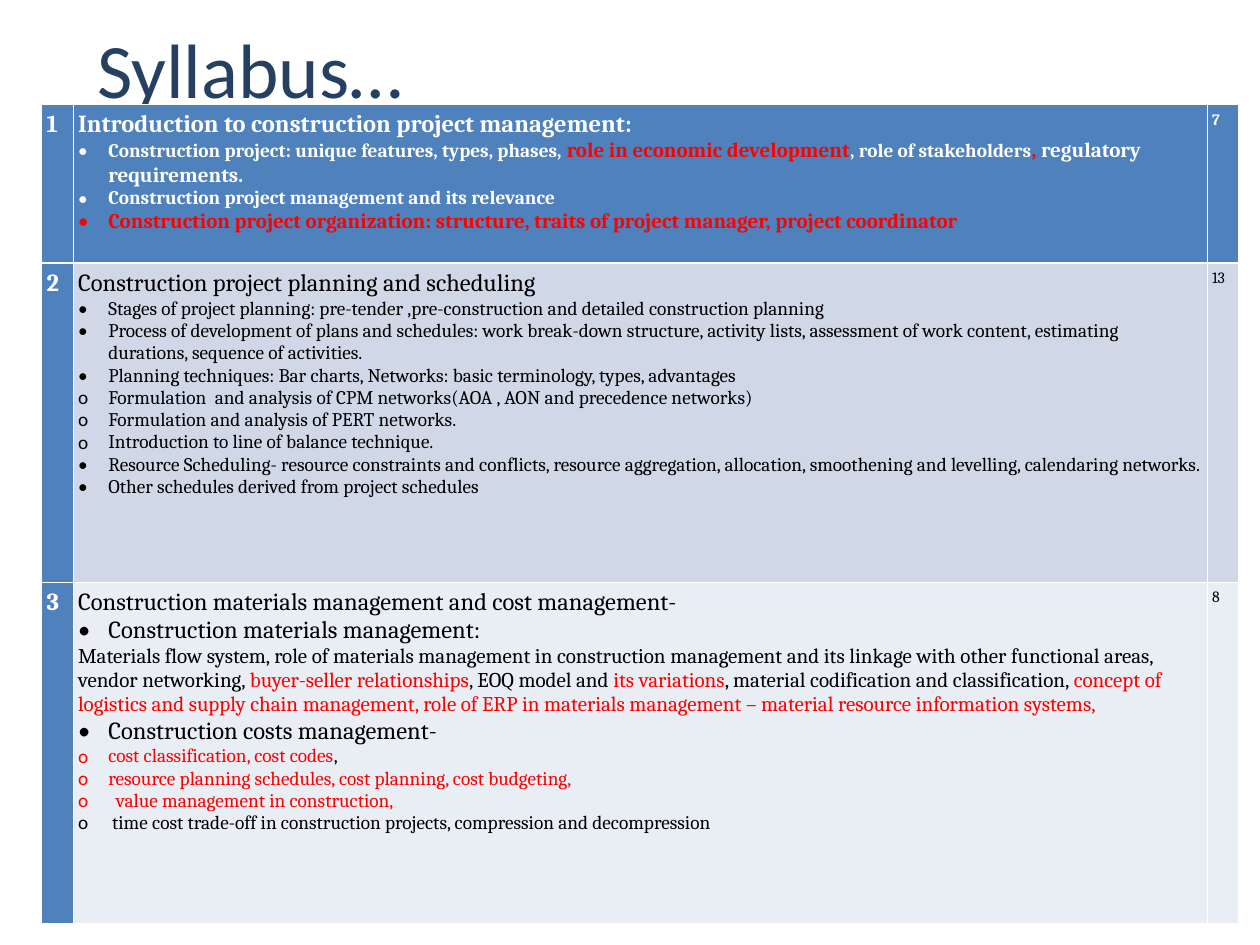
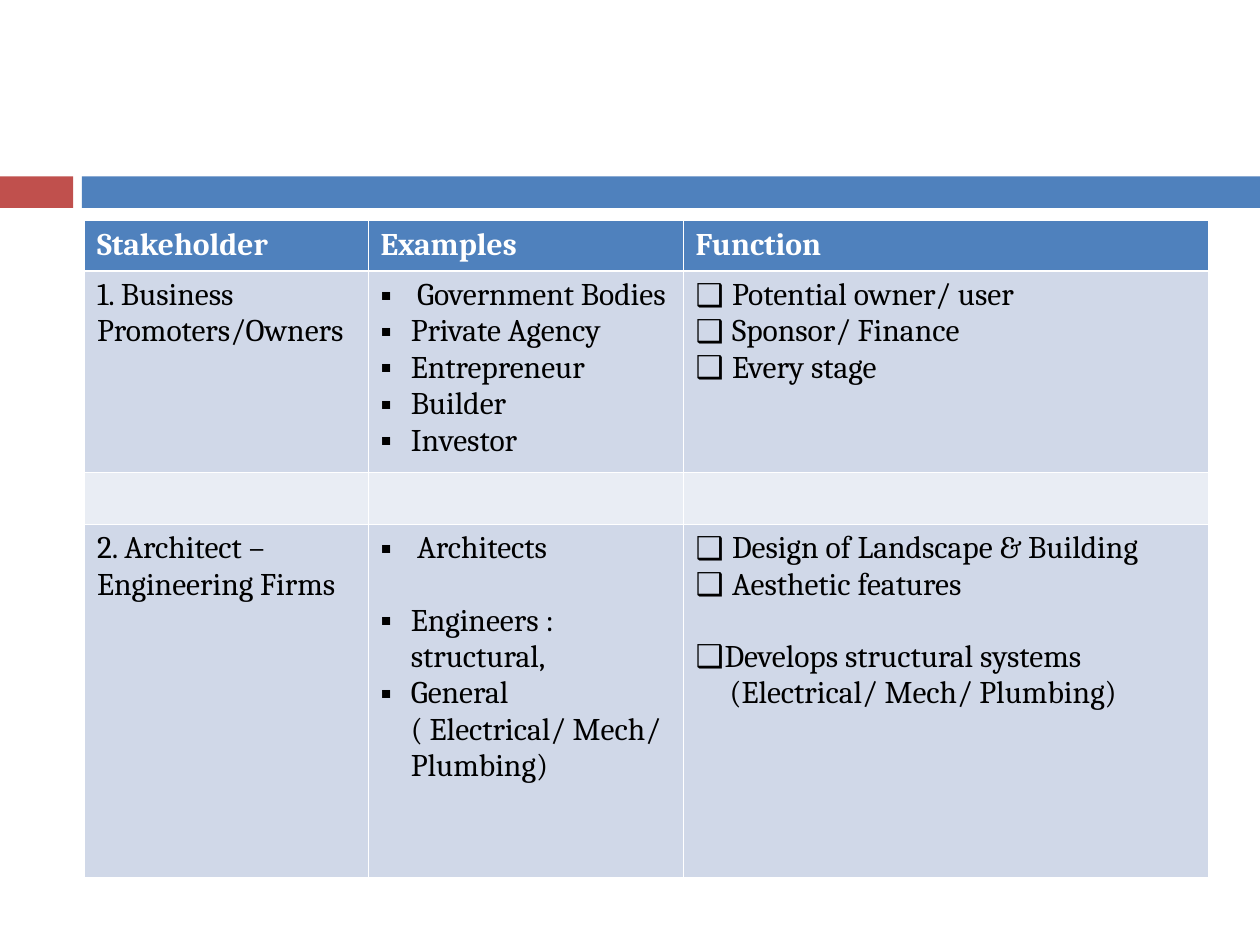
from lxml.etree import SubElement
from pptx import Presentation
from pptx.dml.color import RGBColor
from pptx.enum.shapes import MSO_SHAPE
from pptx.enum.text import MSO_ANCHOR, MSO_AUTO_SIZE, PP_ALIGN
from pptx.oxml.ns import qn
from pptx.util import Inches, Pt

HUES = {"white": "FFFFFF", "ink": "000000", "red": "FF0000", "navy": "254061",
        "blue": "4F81BD", "brick": "C0504D", "band": "D0D8E8", "pale": "E9EDF4"}

DOT = {"mark": "•", "dent": 0.24, "size": 11}
RING = {**DOT, "mark": "o"}
BLOCK = {"mark": "▪", "dent": 0.24}
BOX = {"mark": "❑", "dent": 0.29}
RED = {"hue": "red"}

UNITS = [
    ("1", [
        ("Introduction to construction project management:", {}),
        ([("Construction project: unique features, types, phases, ", {}),
          ("role in economic development", {"size": 12, **RED}),
          (", role of stakeholders", {}),
          (", ", {"size": 12, **RED}),
          ("regulatory requirements.", {"size": 12})], DOT),
        ("Construction project management and its relevance", DOT),
        ("Construction project organization: structure, traits of project manager, "
         "project coordinator", {**DOT, **RED, "size": 12}),
    ], "7"),
    ("2", [
        ("Construction project planning and scheduling", {}),
        ("Stages of project planning: pre-tender ,pre-construction and detailed "
         "construction planning", DOT),
        ("Process of development of plans and schedules: work break-down structure, "
         "activity lists, assessment of work content, estimating durations, "
         "sequence of activities.", DOT),
        ("Planning techniques: Bar charts, Networks: basic terminology, types, "
         "advantages", DOT),
        ("Formulation  and analysis of CPM networks(AOA , AON and precedence "
         "networks)", RING),
        ("Formulation and analysis of PERT networks.", RING),
        ("Introduction to line of balance technique.", RING),
        ("Resource Scheduling- resource constraints and conflicts, resource "
         "aggregation, allocation, smoothening and levelling, calendaring networks.", DOT),
        ("Other schedules derived from project schedules", DOT),
    ], "13"),
    ("3", [
        ("Construction materials management and cost management-", {}),
        ("Construction materials management:", {**DOT, "size": 14}),
        ([("Materials flow system, role of materials management in construction "
           "management and its linkage with other functional areas, vendor "
           "networking, ", {}),
          ("buyer-seller relationships", RED),
          (", EOQ model and ", {}),
          ("its variations", RED),
          (", material codification and classification, ", {}),
          ("concept of logistics and supply chain management, role of ERP in materials "
           "management – material resource information systems,", RED)], {"size": 12}),
        ("Construction costs management-", {**DOT, "size": 14}),
        ([("cost classification, cost codes", {}), (",", {"hue": "ink"})],
         {**RING, **RED}),
        ("resource planning schedules, cost planning, cost budgeting,", {**RING, **RED}),
        ("value management in construction,", {**RING, **RED, "dent": 0.3}),
        ("time cost trade-off in construction projects, compression and decompression",
         {**RING, "dent": 0.27}),
    ], "8"),
]

ROLES = [
    ("Stakeholder", "Examples", "Function"),
    ("1. Business Promoters/Owners",
     [("Government Bodies", {**BLOCK, "dent": 0.29}), ("Private Agency", BLOCK),
      ("Entrepreneur", BLOCK), ("Builder", BLOCK), ("Investor", BLOCK)],
     [("Potential owner/ user", BOX), ("Sponsor/ Finance", BOX), ("Every stage", BOX)]),
    ("", "", ""),
    ("2. Architect – Engineering Firms",
     [("Architects", {**BLOCK, "dent": 0.29}),
      ("Engineers : structural,", {**BLOCK, "gap": 20.5}),
      ("General ( Electrical/ Mech/ Plumbing)", BLOCK)],
     [("Design of Landscape & Building", BOX), ("Aesthetic features", BOX),
      ("Develops structural systems", {**BOX, "dent": 0.23, "gap": 20.5}),
      ("(Electrical/ Mech/ Plumbing)", {"dent": 0.27})]),
]

BARS = [(0, 0.58, "brick"), (0.65, 9.35, "blue")]


def tint(name):
    return RGBColor.from_string(HUES[name])


def put(frame, text, font="Cambria", size=14, hue="ink", bold=False,
        mark=None, dent=0, gap=0):
    para = frame.paragraphs[-1]
    if para.runs:
        para = frame.add_paragraph()
    para.alignment = PP_ALIGN.LEFT
    if dent:
        props = para._p.get_or_add_pPr()
        props.set("marL", str(Inches(dent)))
        props.set("indent", str(-Inches(dent) if mark else 0))
        if mark:
            shade = SubElement(props, qn("a:buClr"))
            SubElement(shade, qn("a:srgbClr"), val=HUES[hue])
            SubElement(props, qn("a:buFont"), typeface="Calibri")
            SubElement(props, qn("a:buChar"), char=mark)
    if gap:
        para.space_before = Pt(gap)
    for words, extra in [(text, {})] if isinstance(text, str) else text:
        run = para.add_run()
        run.text = words
        run.font.name = font
        run.font.size = Pt(extra.get("size", size))
        run.font.bold = bold
        run.font.color.rgb = tint(extra.get("hue", hue))


def edge(cell, row):
    props = cell._tc.get_or_add_tcPr()
    for side in "LRTB":
        thick = (row, side) in ((0, "B"), (1, "T"))
        line = SubElement(props, qn("a:ln" + side), w=str(Pt(1.47 if thick else 0.45)))
        fill = SubElement(line, qn("a:solidFill"))
        SubElement(fill, qn("a:srgbClr"), val=HUES["white"])


def grid(slide, left, top, cols, rows, data, inset, style):
    table = slide.shapes.add_table(
        len(rows), len(cols), Inches(left), Inches(top),
        Inches(sum(cols)), Inches(sum(rows))).table
    table.horz_banding = False
    for col, width in zip(table.columns, cols):
        col.width = Inches(width)
    for r, (height, parts) in enumerate(zip(rows, data)):
        table.rows[r].height = Inches(height)
        for c, part in enumerate(parts):
            cell = table.cell(r, c)
            cell.margin_left = cell.margin_right = Inches(inset)
            cell.margin_top = cell.margin_bottom = Inches(0.05)
            edge(cell, r)
            fill, form = style(r, c)
            cell.fill.solid()
            cell.fill.fore_color.rgb = tint(fill)
            for text, extra in [(part, {})] if isinstance(part, str) else part:
                put(cell.text_frame, text, **{**form, **extra})


def shade(row, head):
    if head:
        return "blue"
    return "band" if row % 2 else "pale"


def unit(row, col):
    form = {"size": 9 if col == 2 else 14, "bold": row == 0 or col == 0,
            "hue": "white" if row == 0 or col == 0 else "ink"}
    return shade(row, row == 0 or col == 0), form


def role(row, col):
    head = row == 0
    return shade(row, head), {"size": 18, "bold": head, "hue": "white" if head else "ink"}


def main():
    deck = Presentation()
    deck.slide_width, deck.slide_height = Inches(10), Inches(7.5)

    plan = deck.slides.add_slide(deck.slide_layouts[5])
    title = plan.shapes.title
    title.left, title.top = Inches(0.67), Inches(0.25)
    title.width, title.height = Inches(8.92), Inches(0.58)
    frame = title.text_frame
    frame.word_wrap = True
    frame.auto_size = MSO_AUTO_SIZE.NONE
    frame.vertical_anchor = MSO_ANCHOR.MIDDLE
    put(frame, "Syllabus…", font="Calibri", size=44, hue="navy")
    grid(plan, 0.33, 0.83, [0.25, 9, 0.25], [1.26, 2.53, 2.71], UNITS, 0.04, unit)

    team = deck.slides.add_slide(deck.slide_layouts[6])
    for left, width, hue in BARS:
        bar = team.shapes.add_shape(MSO_SHAPE.RECTANGLE, Inches(left), Inches(1.4),
                                    Inches(width), Inches(0.25))
        bar.shadow.inherit = False
        bar.fill.solid()
        bar.fill.fore_color.rgb = tint(hue)
        bar.line.fill.background()
    grid(team, 0.67, 1.75, [2.25, 2.5, 4.17], [0.4, 1.6, 0.41, 2.8], ROLES, 0.1, role)

    deck.save("out.pptx")


if __name__ == "__main__":
    main()
